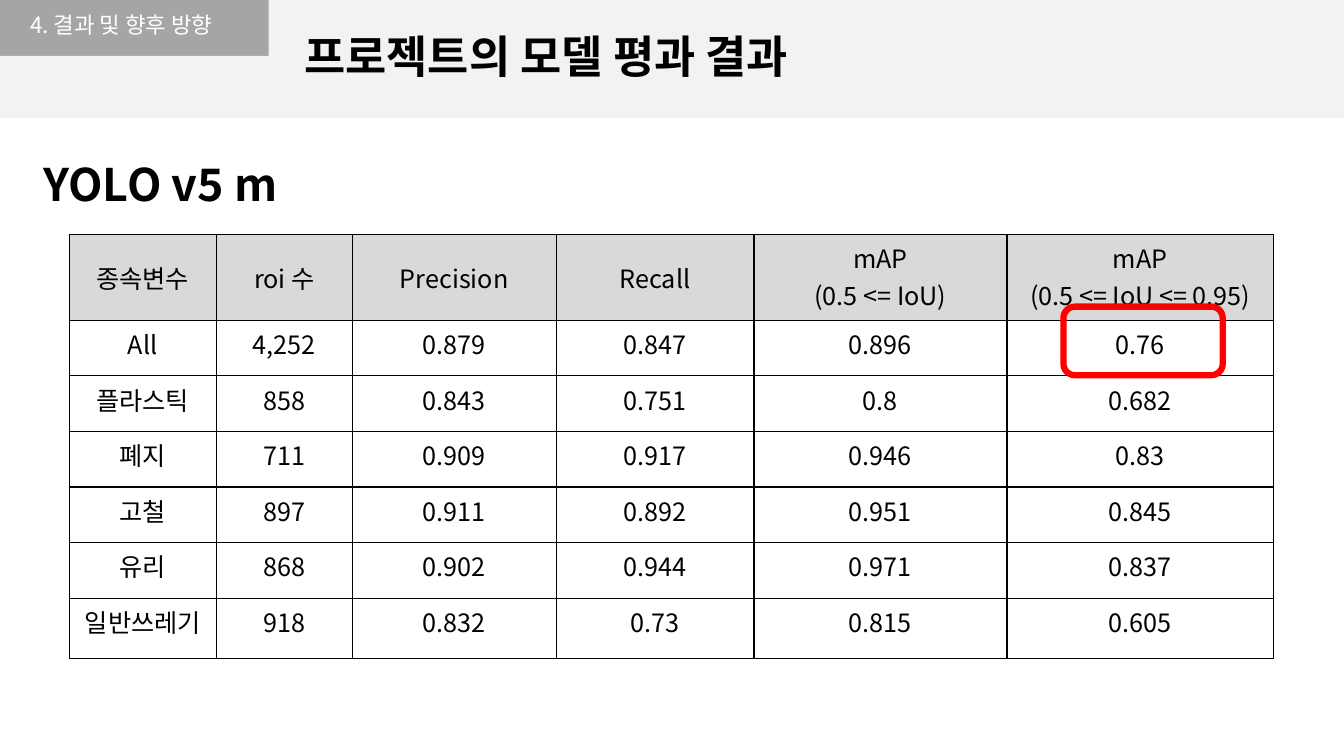
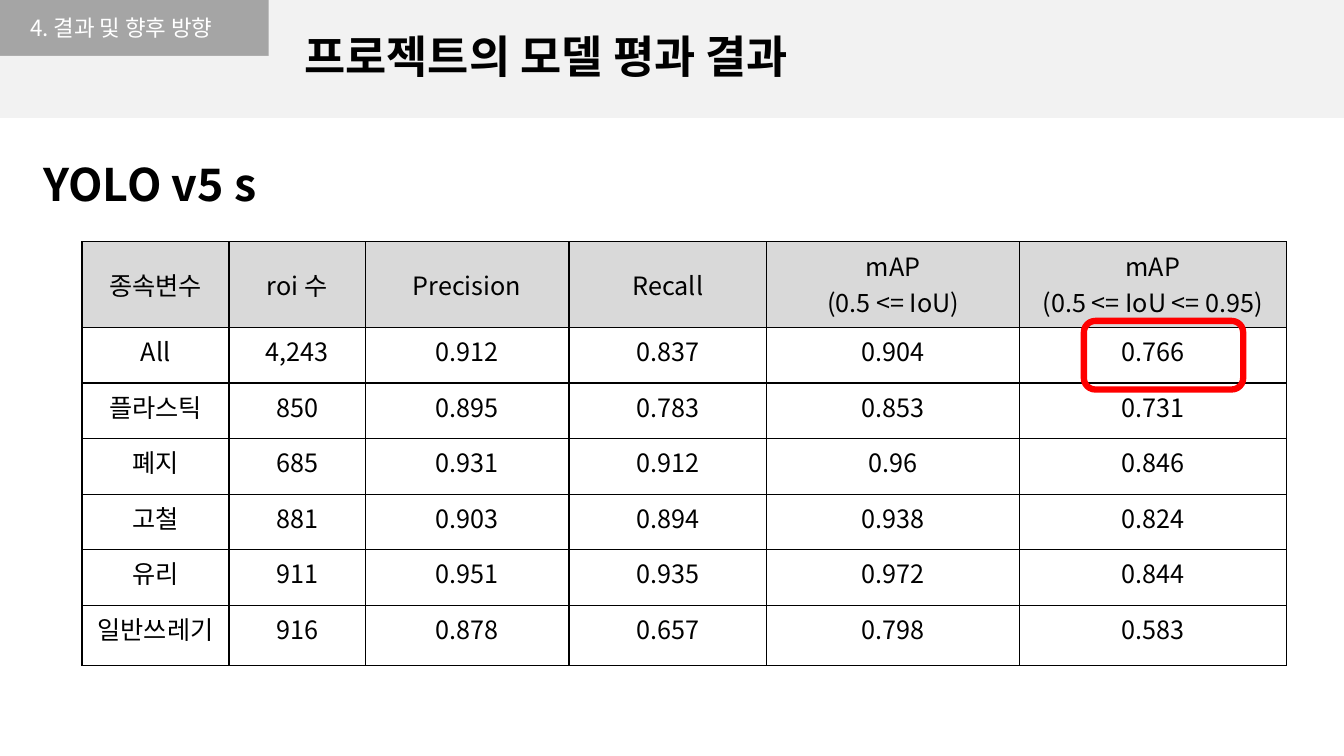
from lxml import etree
from pptx import Presentation
from pptx.dml.color import RGBColor
from pptx.enum.shapes import MSO_SHAPE
from pptx.enum.text import MSO_ANCHOR, MSO_AUTO_SIZE, PP_ALIGN
from pptx.oxml.ns import qn
from pptx.util import Pt

RECT, ROUND_RECT = MSO_SHAPE.RECTANGLE, MSO_SHAPE.ROUNDED_RECTANGLE
LEFT, CENTER = PP_ALIGN.LEFT, PP_ALIGN.CENTER
TOP, MIDDLE = MSO_ANCHOR.TOP, MSO_ANCHOR.MIDDLE

FONT = "Noto Sans CJK KR"
COLORS = {
    "band": "F2F2F2",
    "tag": "A5A5A5",
    "header": "D9D9D9",
    "text": "000000",
    "tag_text": "FFFFFF",
    "border": "000000",
    "mark": "FF0000",
}
SLIDE_W, SLIDE_H = 960, 540
BAND_H = 83.5
TAG_W, TAG_H, STRIP_H = 192, 40, 7
COL_WIDTHS = [105, 97.2, 145.6, 141.3, 180.7, 190.4]
ROW_HEIGHTS = [61.2] + [39.7] * 5 + [43.2]
MARK_W, MARK_H = 113.8, 49

SECTION = "4. 결과 및 향후 방향"
TITLE = "프로젝트의 모델 평과 결과"
HEADERS = ["종속변수", "roi 수", "Precision", "Recall",
           "mAP\n(0.5 <= IoU)", "mAP\n(0.5 <= IoU <= 0.95)"]
CLASSES = ["All", "플라스틱", "폐지", "고철", "유리", "일반쓰레기"]

RESULTS = [
    {
        "model": "YOLO v5 m", "model_w": 188, "section_y": 4.3,
        "table_at": (49.5, 167.6), "mark_at": (759.6, 219),
        "scores": [
            ["4,252", "0.879", "0.847", "0.896", "0.76"],
            ["858", "0.843", "0.751", "0.8", "0.682"],
            ["711", "0.909", "0.917", "0.946", "0.83"],
            ["897", "0.911", "0.892", "0.951", "0.845"],
            ["868", "0.902", "0.944", "0.971", "0.837"],
            ["918", "0.832", "0.73", "0.815", "0.605"],
        ],
    },
    {
        "model": "YOLO v5 s", "model_w": 172.8, "section_y": 6.5,
        "table_at": (58.6, 172.7), "mark_at": (774.2, 229.2),
        "scores": [
            ["4,243", "0.912", "0.837", "0.904", "0.766"],
            ["850", "0.895", "0.783", "0.853", "0.731"],
            ["685", "0.931", "0.912", "0.96", "0.846"],
            ["881", "0.903", "0.894", "0.938", "0.824"],
            ["911", "0.951", "0.935", "0.972", "0.844"],
            ["916", "0.878", "0.657", "0.798", "0.583"],
        ],
    },
]


def rgb(name):
    return RGBColor.from_string(COLORS[name])


def write(tf, text, size=18, color="text", bold=False, align=LEFT):
    """Fill a text frame, one paragraph for each line of text."""
    for i, line in enumerate(text.split("\n")):
        p = tf.paragraphs[0] if i == 0 else tf.add_paragraph()
        p.alignment = align
        r = p.add_run()
        r.text = line
        r.font.size = Pt(size)
        r.font.bold = bold
        r.font.name = FONT
        r.font.color.rgb = rgb(color)
        east_asian = etree.SubElement(r.font._element, qn("a:ea"))
        east_asian.set("typeface", FONT)


def add_label(s, x, y, w, h, text, **fmt):
    tf = s.shapes.add_textbox(Pt(x), Pt(y), Pt(w), Pt(h)).text_frame
    tf.word_wrap = False
    tf.auto_size = MSO_AUTO_SIZE.SHAPE_TO_FIT_TEXT
    write(tf, text, **fmt)


def add_box(s, x, y, w, h, kind=RECT, fill=None, line=None, line_w=1):
    sp = s.shapes.add_shape(kind, Pt(x), Pt(y), Pt(w), Pt(h))
    sp.shadow.inherit = False
    if fill:
        sp.fill.solid()
        sp.fill.fore_color.rgb = rgb(fill)
    else:
        sp.fill.background()
    if line:
        sp.line.color.rgb = rgb(line)
        sp.line.width = Pt(line_w)
    else:
        sp.line.fill.background()


def add_header(s, section_y):
    add_box(s, 0, 0, SLIDE_W, BAND_H, fill="band", line="band")
    add_box(s, 0, 0, TAG_W, TAG_H, fill="tag")
    add_box(s, 0, TAG_H, TAG_W, STRIP_H, fill="band")
    add_label(s, 14.4, section_y, 162.7, 26.6, SECTION, size=16, color="tag_text")
    add_label(s, 210.2, 17.3, 404, 46, TITLE, size=32, bold=True)


def set_borders(cell):
    tc_pr = cell._tc.get_or_add_tcPr()
    for side in ("lnL", "lnR", "lnT", "lnB"):
        ln = etree.SubElement(tc_pr, qn(f"a:{side}"), w=str(Pt(1)))
        fill = etree.SubElement(ln, qn("a:solidFill"))
        etree.SubElement(fill, qn("a:srgbClr"), val=COLORS["border"])


def add_score_table(s, x, y, scores):
    rows = [HEADERS] + [[name] + row for name, row in zip(CLASSES, scores)]
    frame = s.shapes.add_table(len(rows), len(HEADERS), Pt(x), Pt(y),
                               Pt(sum(COL_WIDTHS)), Pt(sum(ROW_HEIGHTS)))
    table = frame.table
    for column, width in zip(table.columns, COL_WIDTHS):
        column.width = Pt(width)
    for i, (row, height) in enumerate(zip(rows, ROW_HEIGHTS)):
        table.rows[i].height = Pt(height)
        for j, text in enumerate(row):
            cell = table.cell(i, j)
            set_borders(cell)
            if i == 0:
                cell.fill.solid()
                cell.fill.fore_color.rgb = rgb("header")
            else:
                cell.fill.background()
            one_line_header = i == 0 and "\n" not in text
            cell.vertical_anchor = MIDDLE if one_line_header else TOP
            write(cell.text_frame, text, align=CENTER)


def add_result_slide(prs, result):
    s = prs.slides.add_slide(prs.slide_layouts[6])
    add_header(s, result["section_y"])
    add_label(s, 23.8, 108.7, result["model_w"], 46, result["model"],
              size=32, bold=True)
    add_score_table(s, *result["table_at"], result["scores"])
    add_box(s, *result["mark_at"], MARK_W, MARK_H, kind=ROUND_RECT,
            line="mark", line_w=4.5)


def main():
    prs = Presentation()
    prs.slide_width, prs.slide_height = Pt(SLIDE_W), Pt(SLIDE_H)
    for result in RESULTS:
        add_result_slide(prs, result)
    prs.save("out.pptx")


if __name__ == "__main__":
    main()
